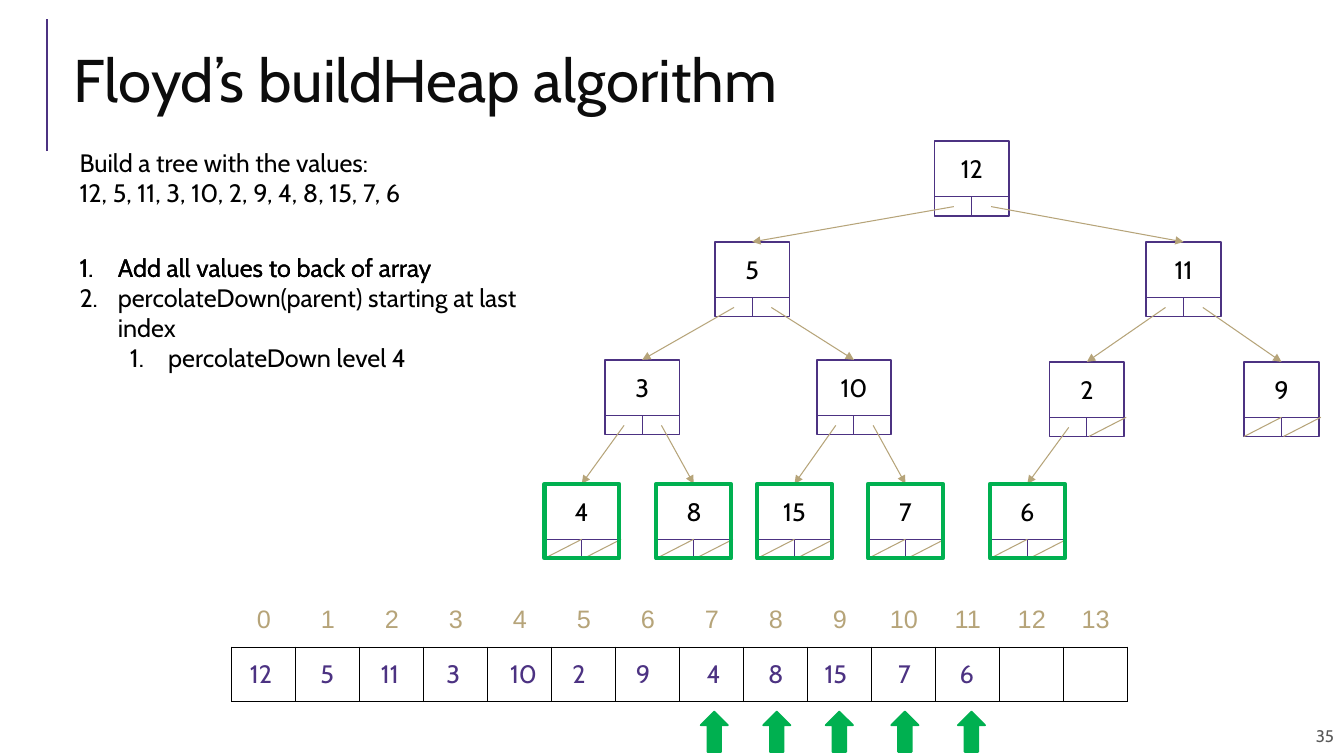
from pptx import Presentation
from pptx.dml.color import RGBColor
from pptx.enum.shapes import MSO_CONNECTOR, MSO_SHAPE
from pptx.enum.text import MSO_ANCHOR, PP_ALIGN
from pptx.oxml.ns import qn
from pptx.util import Inches, Pt
from lxml.etree import SubElement

PURPLE, TAN, GREEN, BLACK, WHITE = "4C3282", "B6A479", "00B050", "000000", "FFFFFF"
NODE, SHELF = 0.74, 0.55
LEFT_POINTER, RIGHT_POINTER, POINTER_Y = 0.19, 0.56, 0.65
TOP_SIDE, BOTTOM_SIDE = 0, 2
NUMBER_WIDTHS = {"12": 0.43, "11": 0.39, "10": 0.52, "15": 0.46}
FIRST_LEAF = 7

HEAP = [
    ("12", 9.27, 1.4), ("5", 7.09, 2.4), ("11", 11.37, 2.4),
    ("3", 6, 3.57), ("10", 8.1, 3.57), ("2", 10.41, 3.59), ("9", 12.34, 3.59),
    ("4", 5.4, 4.8), ("8", 6.51, 4.8), ("15", 7.51, 4.8), ("7", 8.61, 4.8),
    ("6", 9.82, 4.8),
]
ARRAY_LEFTS = [2.38, 3.08, 3.68, 4.33, 4.96, 5.58, 6.21, 6.91, 7.52, 8.08, 8.81, 9.42]
MARKER_LEFTS = [6.95, 7.57, 8.19, 8.84, 9.5]
STEPS = [
    ("Add all values to back of array", 0),
    ("percolateDown(parent) starting at last index", 0),
    ("percolateDown level 4", 1),
]


def rgb(value):
    return RGBColor.from_string(value)


def apply(target, formats):
    for name, value in formats.items():
        setattr(target, name, value)


class SlideBuilder:
    font = "Cabin"

    def __init__(self, slide):
        self.slide = slide
        self.shapes = slide.shapes

    def style_run(self, run, size, color, font=None):
        apply(run.font, {"name": font or self.font, "size": Pt(size)})
        run.font.color.rgb = rgb(color)

    def text(self, box, lines, size=18, color=BLACK, frame=None, paragraph=None):
        area = self.shapes.add_textbox(*map(Inches, box)).text_frame
        apply(area, {"word_wrap": True, **(frame or {})})
        for index, line in enumerate(lines):
            part = area.paragraphs[0] if index == 0 else area.add_paragraph()
            apply(part, paragraph or {})
            run = part.add_run()
            run.text = line
            self.style_run(run, size, color)
        return area

    def number(self, value, left, top, color, align=PP_ALIGN.LEFT):
        width = NUMBER_WIDTHS.get(value, 0.34)
        if align == PP_ALIGN.CENTER:
            left += (NODE - width) / 2
        self.text((left, top, width, 0.4), [value], color=color,
                  frame={"word_wrap": False}, paragraph={"alignment": align})

    def steps(self, box, steps):
        area = self.text(box, [step for step, _ in steps])
        for part, (_, level) in zip(area.paragraphs, steps):
            part.level = level
            props = part._p.get_or_add_pPr()
            props.set("marL", str(Inches(0.38 + 0.5 * level)))
            props.set("indent", str(Inches(-0.38)))
            bullet_color = SubElement(props, qn("a:buClr"))
            SubElement(bullet_color, qn("a:srgbClr"), val=BLACK)
            SubElement(props, qn("a:buAutoNum"), type="arabicPeriod")

    def shape(self, kind, box, line, width=1.25, fill=None):
        item = self.shapes.add_shape(kind, *map(Inches, box))
        item.shadow.inherit = False
        if fill:
            item.fill.solid()
            item.fill.fore_color.rgb = rgb(fill)
        else:
            item.fill.background()
        item.line.color.rgb = rgb(line)
        item.line.width = Pt(width)
        return item

    def line(self, start, end, color, width=0.75, arrow=False, join=None):
        item = self.shapes.add_connector(MSO_CONNECTOR.STRAIGHT, *map(Inches, start + end))
        item.line.color.rgb = rgb(color)
        item.line.width = Pt(width)
        if arrow:
            SubElement(item.line._get_or_add_ln(), qn("a:tailEnd"), type="triangle")
        SubElement(item._element.spPr, qn("a:effectLst"))
        if join:
            item.end_connect(*join)

    def node(self, value, left, top, empty_sides):
        self.shapes = self.slide.shapes.add_group_shape().shapes
        middle, shelf, bottom = left + NODE / 2, top + SHELF, top + NODE
        square = self.shape(MSO_SHAPE.RECTANGLE, (left, top, NODE, NODE), PURPLE)
        self.number(value, left, top + 0.07, BLACK, PP_ALIGN.CENTER)
        self.line((left, shelf), (left + NODE, shelf), PURPLE)
        self.line((middle, shelf), (middle, bottom), PURPLE, join=(square, BOTTOM_SIDE))
        for side in empty_sides:
            start = left + side * 0.39
            self.line((start, bottom), (start + NODE / 2, shelf), TAN)
        self.shapes = self.slide.shapes
        return square

    def index_table(self, box, count):
        table = self.shapes.add_table(2, count, *map(Inches, box)).table
        apply(table, {"first_row": False, "horz_banding": False})
        for row, sides in enumerate(["B", "LRTB"]):
            for column in range(count):
                cell = table.cell(row, column)
                cell.vertical_anchor = MSO_ANCHOR.MIDDLE
                for side in sides:
                    edge = SubElement(cell._tc.get_or_add_tcPr(), qn(f"a:ln{side}"),
                                      w=str(Pt(1)))
                    paint = SubElement(edge, qn("a:solidFill"))
                    SubElement(paint, qn("a:srgbClr"), val=BLACK)
                cell.fill.solid()
                cell.fill.fore_color.rgb = rgb(WHITE)
                if row == 0:
                    part = cell.text_frame.paragraphs[0]
                    part.alignment = PP_ALIGN.CENTER
                    run = part.add_run()
                    run.text = str(column)
                    self.style_run(run, 18, TAN, "Arial")


def main():
    deck = Presentation()
    apply(deck, {"slide_width": Inches(13.33), "slide_height": Inches(7.5)})
    page = SlideBuilder(deck.slides.add_slide(deck.slide_layouts[6]))
    middle = {"vertical_anchor": MSO_ANCHOR.MIDDLE}

    page.line((0.47, 1.5), (0.47, 0.19), PURPLE, 1.5)
    page.text((8.65, 7.1, 4.68, 0.4), ["35"], 12, "595959", middle,
              {"alignment": PP_ALIGN.RIGHT})
    page.text((0.63, 0.29, 12.23, 1.11), ["Floyd’s buildHeap algorithm"], 43, "0C0C0C",
              middle, {"line_spacing": 0.8})

    squares = []
    for index, (value, left, top) in enumerate(HEAP):
        empty_sides = [side for side in (0, 1) if 2 * index + 1 + side >= len(HEAP)]
        squares.append(page.node(value, left, top, empty_sides))

    for child in range(1, len(HEAP)):
        _, parent_left, parent_top = HEAP[(child - 1) // 2]
        _, left, top = HEAP[child]
        pointer = LEFT_POINTER if child % 2 else RIGHT_POINTER
        page.line((parent_left + pointer, parent_top + POINTER_Y), (left + NODE / 2, top),
                  TAN, arrow=True, join=(squares[child], TOP_SIDE))

    page.index_table((2.3, 5.88, 8.89, 1.08), 14)
    for (value, _, _), left in zip(HEAP, ARRAY_LEFTS):
        page.number(value, left, 6.48, PURPLE)

    values = ", ".join(value for value, _, _ in HEAP)
    page.text((0.69, 1.41, 3.58, 0.71), ["Build a tree with the values:", values])
    for height, shown in ((0.4, STEPS[:1]), (1.31, STEPS)):
        page.steps((0.69, 2.45, 5.11, height), shown)

    for (_, left, top), marker_left in zip(HEAP[FIRST_LEAF:], MARKER_LEFTS):
        page.shape(MSO_SHAPE.RECTANGLE, (left, top, NODE, NODE), GREEN, 3)
        page.shape(MSO_SHAPE.UP_ARROW, (marker_left, 7.06, 0.27, 0.4), GREEN, fill=GREEN)

    deck.save("out.pptx")


if __name__ == "__main__":
    main()
